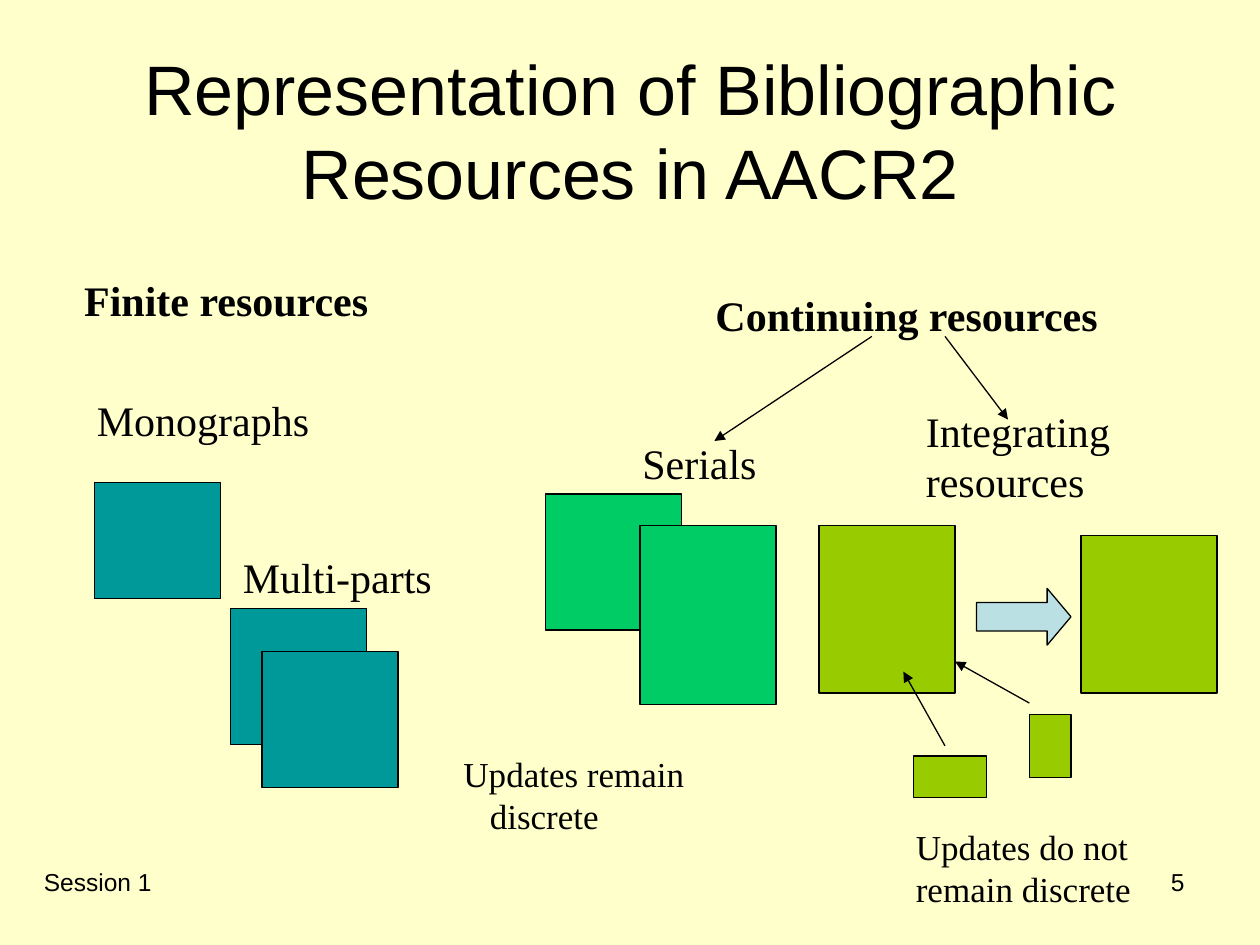
from lxml.etree import SubElement
from pptx import Presentation
from pptx.dml.color import RGBColor
from pptx.enum.shapes import MSO_CONNECTOR as Connector, MSO_SHAPE as Shape
from pptx.enum.text import MSO_ANCHOR as Anchor, MSO_AUTO_SIZE as AutoSize, PP_ALIGN as Align
from pptx.oxml.ns import qn
from pptx.util import Inches, Pt

TEAL, GREEN, LIME, PALE_BLUE = "009999", "00CC66", "99CC00", "BBE0E3"


def color(value):
    return RGBColor.from_string(value)


def write(para, text, font="Times New Roman", size=24, bold=False, align=Align.LEFT, indent=0):
    para.alignment = align
    if indent:
        para._p.get_or_add_pPr().set("marL", str(Inches(indent)))
    span = para.add_run()
    span.text = text
    span.font.name = font
    span.font.size = Pt(size)
    span.font.bold = bold
    span.font.color.rgb = color("000000")


class Slide:
    ink = "000000"
    line_width = 0.75

    def __init__(self, deck, background):
        self.page = deck.slides.add_slide(deck.slide_layouts[6])
        fill = self.page.background.fill
        fill.solid()
        fill.fore_color.rgb = color(background)

    def outline(self, line):
        line.color.rgb = color(self.ink)
        line.width = Pt(self.line_width)

    def text(self, area, text, anchor=Anchor.TOP, wrap=True, grow=True, hanging=0, **style):
        box = self.page.shapes.add_textbox(*map(Inches, area))
        frame = box.text_frame
        frame.word_wrap = wrap
        frame.auto_size = AutoSize.SHAPE_TO_FIT_TEXT if grow else AutoSize.NONE
        frame.vertical_anchor = anchor
        for index, words in enumerate(text.split("\n")):
            para = frame.add_paragraph() if index else frame.paragraphs[0]
            write(para, words, indent=hanging if index else 0, **style)

    def block(self, area, fill, kind=Shape.RECTANGLE):
        shape = self.page.shapes.add_shape(kind, *map(Inches, area))
        shape.shadow.inherit = False
        shape.fill.solid()
        shape.fill.fore_color.rgb = color(fill)
        self.outline(shape.line)
        return shape

    def arrow(self, start, end):
        arrow = self.page.shapes.add_connector(Connector.STRAIGHT, *map(Inches, start + end))
        self.outline(arrow.line)
        SubElement(arrow.line._get_or_add_ln(), qn("a:tailEnd"), type="triangle")
        SubElement(arrow._element.spPr, qn("a:effectLst"))


def main():
    deck = Presentation()
    deck.slide_width, deck.slide_height = Inches(10), Inches(7.5)
    slide = Slide(deck, "FFFFCC")

    slide.text((0.5, 0.3, 9, 1.45), "Representation of Bibliographic Resources in AACR2",
               anchor=Anchor.MIDDLE, grow=False, font="Arial", size=40, align=Align.CENTER)

    slide.text((0.57, 2.13, 2.47, 0.5), "Finite resources", wrap=False, bold=True)
    slide.text((5.58, 2.25, 3.92, 0.5), "Continuing resources", bold=True)

    for area, fill in [
        ((0.75, 3.83, 1, 0.92), TEAL),
        ((1.83, 4.83, 1.08, 1.08), TEAL),
        ((2.08, 5.17, 1.08, 1.08), TEAL),
        ((4.33, 3.92, 1.08, 1.08), GREEN),
        ((5.08, 4.17, 1.08, 1.42), GREEN),
        ((6.5, 4.17, 1.08, 1.33), LIME),
        ((8.58, 4.25, 1.08, 1.25), LIME),
        ((7.25, 6, 0.58, 0.33), LIME),
        ((8.17, 5.67, 0.33, 0.5), LIME),
    ]:
        slide.block(area, fill)
    change = slide.block((7.75, 4.67, 0.75, 0.45), PALE_BLUE, Shape.RIGHT_ARROW)
    change.adjustments[1] = 0.42

    for area, label in [
        ((0.67, 3.08, 2.08, 0.5), "Monographs"),
        ((1.83, 4.33, 2.17, 0.5), "Multi-parts"),
        ((5, 3.42, 1.17, 0.5), "Serials"),
        ((7.25, 3.17, 2.42, 0.9), "Integrating resources"),
    ]:
        slide.text(area, label)

    for start, end in [
        ((6.92, 2.67), (5.67, 3.5)),
        ((7.5, 2.67), (8, 3.33)),
        ((8.17, 5.58), (7.58, 5.25)),
        ((7.5, 5.92), (7.17, 5.33)),
    ]:
        slide.arrow(start, end)

    slide.text((3.58, 5.92, 2, 0.77), "Updates remain\ndiscrete", size=20, hanging=0.21)
    slide.text((7.17, 6.5, 1.92, 0.77), "Updates do not remain discrete", size=20)
    slide.text((0.25, 6.83, 3.5, 0.42), "Session 1", grow=False, font="Arial", size=14)
    slide.text((7.17, 6.83, 2.33, 0.52), "5", grow=False, font="Arial", size=14, align=Align.RIGHT)

    deck.save("out.pptx")


if __name__ == "__main__":
    main()
